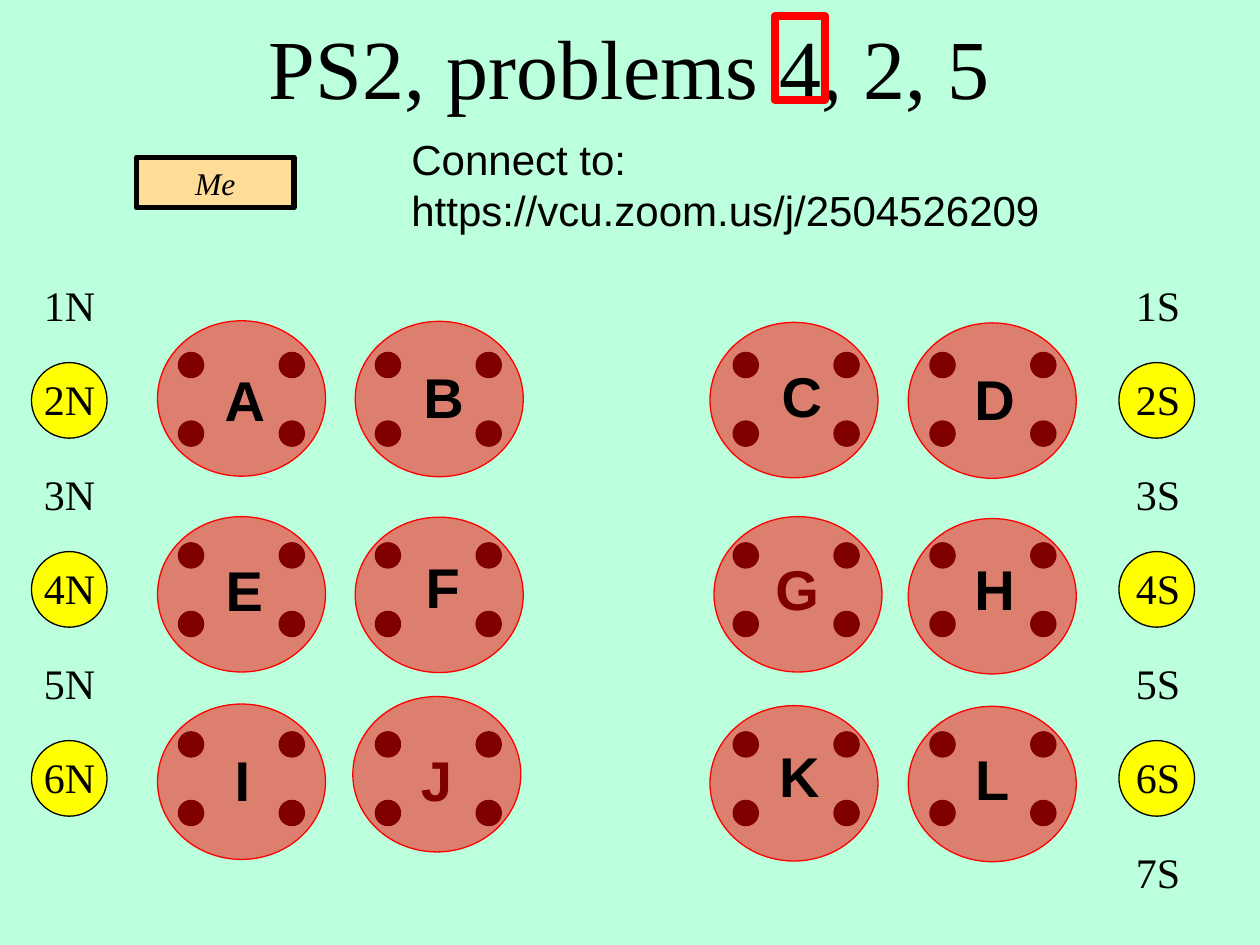
from lxml import etree
from pptx import Presentation
from pptx.dml.color import RGBColor
from pptx.enum import shapes, text
from pptx.oxml import ns
from pptx.util import Pt

MINT = RGBColor(0xBB, 0xFF, 0xDD)
BLACK = RGBColor(0, 0, 0)
RED = RGBColor(0xFF, 0, 0)
YELLOW = RGBColor(0xFF, 0xFF, 0)
PEACH = RGBColor(0xFF, 0xDD, 0x99)
SERIF, SANS = "Times New Roman", "Arial"
OVAL = shapes.MSO_SHAPE.OVAL
RECTANGLE = shapes.MSO_SHAPE.RECTANGLE

SEAT_COLUMNS = (102, 214.5, 419, 531.4)
SEAT_ROWS = (201.4, 310.2, 418.2)
SEAT_SIZE, SEAT_STEP_X, SEAT_STEP_Y = 14.4, 57.6, 39.2
TABLE_SIZE = (96, 88.8)
LETTER_SIZE = (64, 46)
TABLES = (
    ("A", (90, 183.3), (108, 205.4)),
    ("B", (203, 183.6), (221.5, 203.6)),
    ("C", (405.7, 184.2), (426.2, 203)),
    ("D", (519, 184.5), (536.4, 204.5)),
    ("E", (90, 295.2), (107.7, 313.9)),
    ("F", (203, 295.5), (221, 312)),
    ("G", (408, 295.2), (423.5, 313.3)),
    ("H", (519, 296.3), (536.4, 313.3)),
    ("I", (90, 402.3), (106.6, 422.5)),
    ("J", (201.6, 398), (217.4, 422.5)),
    ("K", (405.7, 403.2), (424.8, 420)),
    ("L", (519, 403.6), (535, 422)),
)
COVERED_LETTERS = "GJ"


def write(shape, words, *, size, font=SERIF, align=text.PP_ALIGN.LEFT,
          anchor=text.MSO_ANCHOR.TOP, bold=False, italic=False):
    """Put formatted words into a shape."""
    frame = shape.text_frame
    frame.word_wrap = True
    frame.auto_size = text.MSO_AUTO_SIZE.NONE
    frame.vertical_anchor = anchor
    paragraph = frame.paragraphs[0]
    paragraph.alignment = align
    paragraph.space_before = Pt(0)
    run = paragraph.add_run()
    run.text = words
    run.font.name, run.font.size = font, Pt(size)
    run.font.bold, run.font.italic = bold, italic
    run.font.color.rgb = BLACK


def add_words(slide, box, words, **style):
    """Add a text box with formatted words."""
    write(slide.shapes.add_textbox(*map(Pt, box)), words, **style)


def add_figure(slide, kind, box, fill, line, width=0.75, alpha=None):
    """Add a preset shape, optionally hollow or translucent."""
    figure = slide.shapes.add_shape(kind, *map(Pt, box))
    figure.shadow.inherit = False
    figure.line.color.rgb = line
    figure.line.width = Pt(width)
    if fill is None:
        figure.fill.background()
    else:
        figure.fill.solid()
        figure.fill.fore_color.rgb = fill
    if alpha is not None:
        color = figure._element.spPr.find(ns.qn("a:solidFill"))[0]
        etree.SubElement(color, ns.qn("a:alpha"), val=str(alpha * 1000))
    return figure


def add_header(slide, box):
    """Place the title, the marked problem, the presenter and the link."""
    left, top, width, height = box
    title = slide.shapes.title
    title.left, title.top, title.width, title.height = map(Pt, box)
    write(title, "PS2, problems 4, 2, 5", size=48, align=text.PP_ALIGN.CENTER)
    title.text_frame.margin_top = Pt(9)
    add_figure(slide, RECTANGLE, (left + 380.2, top + 9.2, 28.8, 48), None, RED, 4.5)
    presenter = add_figure(slide, RECTANGLE, (left + 15.4, top + 89.8, 90, 29),
                           PEACH, BLACK, 3)
    write(presenter, "Me", size=18, italic=True, align=text.PP_ALIGN.CENTER,
          anchor=text.MSO_ANCHOR.MIDDLE)
    add_words(slide, (left + 165.4, top + 73, 378, 65.5),
              "Connect to: https://vcu.zoom.us/j/2504526209", size=24, font=SANS)


def add_side(slide, box, side, count, inset):
    """Number the screens along one wall, circling the even ones."""
    left, top, width, height = box
    for index in range(count):
        label_top = top + 54 * index
        if index % 2:
            add_figure(slide, OVAL, (left, label_top - 3, 43.2, 43.2), YELLOW, BLACK)
        add_words(slide, (left + inset, label_top, width, height),
                  f"{index + 1}{side}", size=24)


def add_table_group(slide, seats, disc, letter_corner, letter):
    """Place four seats, the round table and its letter."""
    for seat in range(4):
        row, column = divmod(seat, 2)
        add_figure(slide, OVAL, (seats[0] + column * SEAT_STEP_X,
                                 seats[1] + row * SEAT_STEP_Y,
                                 SEAT_SIZE, SEAT_SIZE), BLACK, BLACK)

    def add_letter():
        """Write the table letter."""
        add_words(slide, letter_corner + LETTER_SIZE, letter, size=32, font=SANS,
                  bold=True, align=text.PP_ALIGN.CENTER)

    def add_disc():
        """Draw the table top."""
        add_figure(slide, OVAL, disc + TABLE_SIZE, RED, RED, alpha=50)

    layers = [add_disc, add_letter]
    if letter in COVERED_LETTERS:
        layers.reverse()
    for add_layer in layers:
        add_layer()


def main():
    """Build the seating plan."""
    deck = Presentation()
    deck.slide_width, deck.slide_height = Pt(720), Pt(540)
    slide = deck.slides.add_slide(deck.slide_layouts[5])
    slide.background.fill.solid()
    slide.background.fill.fore_color.rgb = MINT
    add_header(slide, (62.6, 0, 594, 65))
    add_side(slide, (18, 156.2, 48, 36), "N", 6, 0)
    add_side(slide, (639.4, 156.2, 48, 36), "S", 7, 2.6)
    for index, (letter, disc, letter_corner) in enumerate(TABLES):
        row, column = divmod(index, 4)
        seats = (SEAT_COLUMNS[column], SEAT_ROWS[row])
        add_table_group(slide, seats, disc, letter_corner, letter)
    deck.save("out.pptx")


if __name__ == "__main__":
    main()
